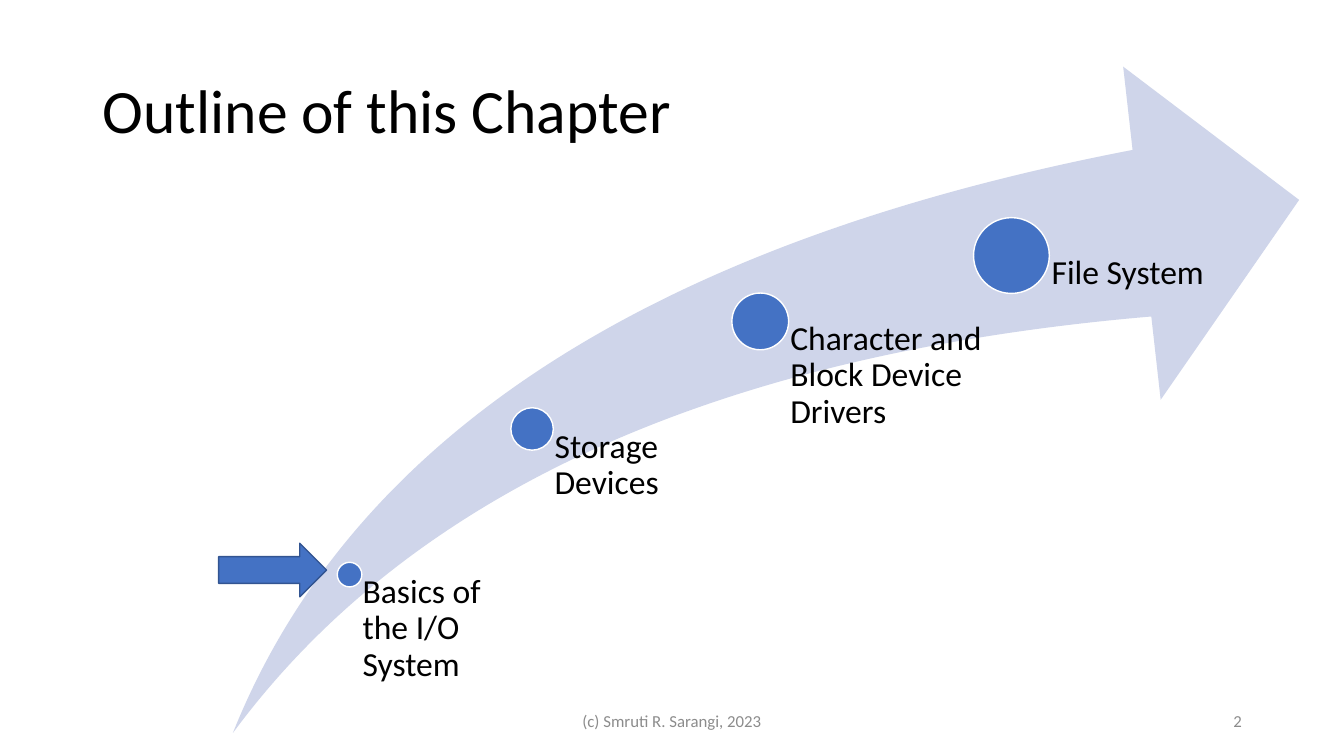
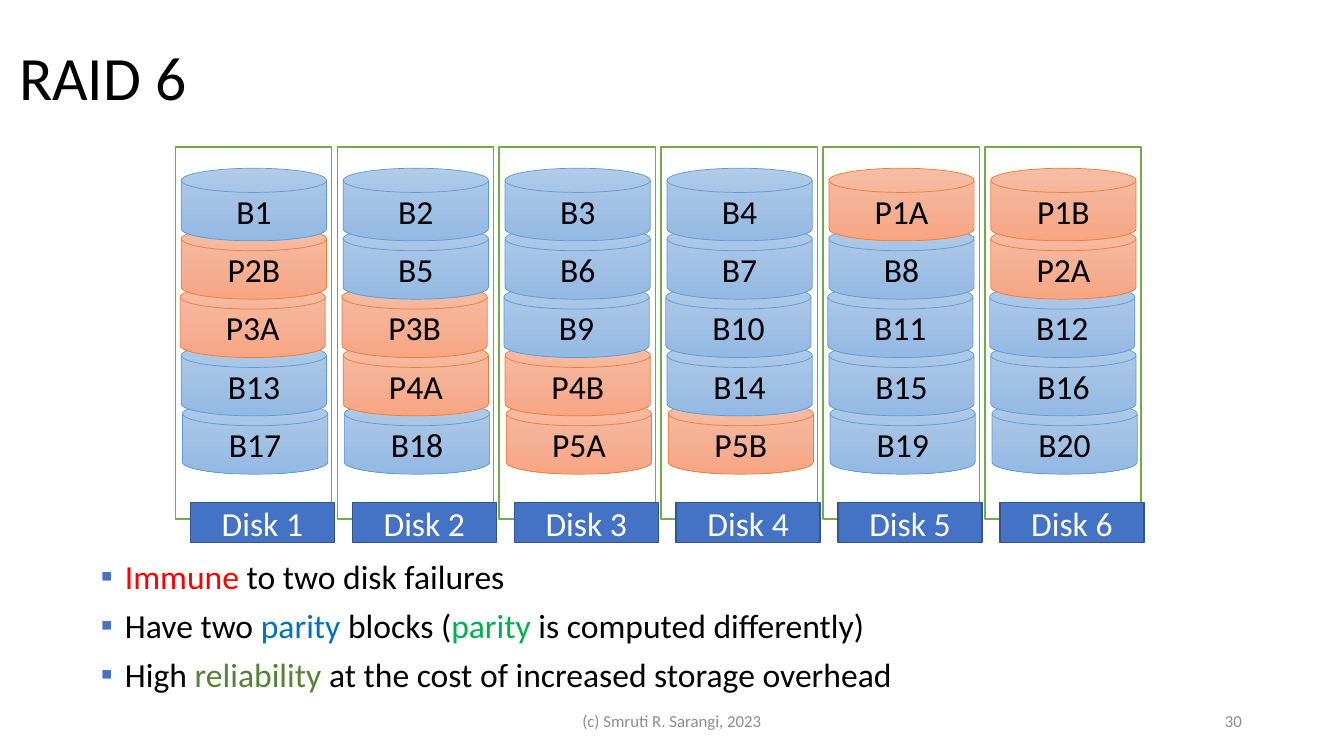
from copy import deepcopy

from lxml import etree
from pptx import Presentation
from pptx.dml.color import RGBColor
from pptx.enum import shapes, text
from pptx.oxml import ns
from pptx.util import Cm, Pt

FONT = "Calibri"
COLORS = {
    "black": "000000", "white": "FFFFFF", "gray": "8C8C8C",
    "blue": "4472C4", "navy": "325491", "pale": "CFD5EA", "frame": "70AD47",
    "red": "FF0000", "azure": "0070C0", "green": "00B050", "olive": "548235",
}
BLOCK_STYLES = {
    "B": ("5B9BD5", ("B1CBE9", "A3C1E5", "93B9E4")),
    "P": ("ED7D31", ("F7BDA5", "F5B196", "F8A582")),
}
FOOTER = "(c) Smruti R. Sarangi, 2023"

TOPICS = [
    ("Basics of the I/O System", 8.81, 14.48, 0.62, 4.55),
    ("Storage Devices", 13.41, 10.81, 1.07, 5.64),
    ("Character and Block Device Drivers", 19.16, 8.1, 1.43, 5.64),
    ("File System", 25.49, 6.44, 1.91, 5.64),
]
TOPICS_BOTTOM = 18.49

DISKS = [
    ("B1", "P2B", "P3A", "B13", "B17"),
    ("B2", "B5", "P3B", "P4A", "B18"),
    ("B3", "B6", "B9", "P4B", "P5A"),
    ("B4", "B7", "B10", "B14", "P5B"),
    ("P1A", "B8", "B11", "B15", "B19"),
    ("P1B", "P2A", "B12", "B16", "B20"),
]
DISK_LEFT, DISK_PITCH = 4.42, 4.08
BLOCK_TOP, BLOCK_PITCH = 4.24, 1.47
ROW_SHIFTS = (0, 0, -0.03, 0, 0.03)

BULLETS = [
    [("Immune ", "red"), ("to two disk failures", "black")],
    [("Have two ", "black"), ("parity", "azure"), (" blocks (", "black"),
     ("parity", "green"), (" is computed differently)", "black")],
    [("High ", "black"), ("reliability", "olive"),
     (" at the cost of increased storage overhead", "black")],
]


def rgb(name):
    return RGBColor.from_string(COLORS.get(name, name))


def style_font(font, size, color):
    font.name = FONT
    font.size = Pt(size)
    font.color.rgb = rgb(color)


def write(shape, words, size=24, color="black", align=text.PP_ALIGN.LEFT,
          anchor=text.MSO_ANCHOR.MIDDLE, spacing=None):
    frame = shape.text_frame
    frame.text = words
    frame.word_wrap = True
    frame.vertical_anchor = anchor
    paragraph = frame.paragraphs[0]
    paragraph.alignment = align
    paragraph.line_spacing = spacing
    style_font(paragraph.runs[0].font, size, color)


def add_text(slide, box, words, **options):
    shape = slide.shapes.add_textbox(*map(Cm, box))
    write(shape, words, **options)
    return shape


def add_shape(slide, kind, box, fill=None, line=None, width=1):
    shape = slide.shapes.add_shape(kind, *map(Cm, box))
    shape.shadow.inherit = False
    if fill:
        shape.fill.solid()
        shape.fill.fore_color.rgb = rgb(fill)
    if line:
        shape.line.color.rgb = rgb(line)
        shape.line.width = Pt(width)
    else:
        shape.line.fill.background()
    return shape


def fill_gradient(shape, colors):
    shape.fill.gradient()
    shape.fill.gradient_angle = 270
    stop_list = shape._element.spPr.find(".//" + ns.qn("a:gsLst"))
    stop_list.append(deepcopy(stop_list[0]))
    for index, (stop, color) in enumerate(zip(shape.fill.gradient_stops, colors)):
        stop.position = index / (len(colors) - 1)
        stop.color.rgb = rgb(color)


def add_slide(presentation, title, left, top, number):
    slide = presentation.slides.add_slide(presentation.slide_layouts[6])
    add_text(slide, (left, top, 29.21, 3.68), title, size=44, spacing=0.9)
    add_text(slide, (11.22, 17.65, 11.43, 1.02), FOOTER, size=12, color="gray",
             align=text.PP_ALIGN.CENTER)
    add_text(slide, (23.93, 17.65, 7.62, 1.02), str(number), size=12,
             color="gray", align=text.PP_ALIGN.RIGHT)
    return slide


def add_topic(slide, words, x, y, diameter, width):
    radius = diameter / 2
    add_shape(slide, shapes.MSO_SHAPE.OVAL,
              (x - radius, y - radius, diameter, diameter), "blue", "white")
    label = add_text(slide, (x, y, width, TOPICS_BOTTOM - y), words,
                     anchor=text.MSO_ANCHOR.TOP, spacing=0.9)
    frame = label.text_frame
    frame.margin_left = Cm(0.53 * diameter)
    frame.margin_top = frame.margin_right = frame.margin_bottom = 0


def add_disk(slide, index, blocks):
    left = DISK_LEFT + index * DISK_PITCH
    process = shapes.MSO_SHAPE.FLOWCHART_PROCESS
    add_shape(slide, process, (left, 3.71, 3.94, 9.37), "white", "frame")
    for row, name in reversed(list(enumerate(blocks))):
        line, gradient = BLOCK_STYLES[name[0]]
        box = (left + 0.15 + ROW_SHIFTS[row], BLOCK_TOP + row * BLOCK_PITCH, 3.66, 1.83)
        block = add_shape(slide, shapes.MSO_SHAPE.FLOWCHART_MAGNETIC_DISK, box,
                          line=line, width=0.5)
        fill_gradient(block, gradient)
        write(block, name, align=text.PP_ALIGN.CENTER)
    label = add_shape(slide, process, (left + 0.38, 12.67, 3.63, 1), "blue", "navy")
    write(label, f"Disk {index + 1}", color="white", align=text.PP_ALIGN.CENTER)


def add_bullet(paragraph):
    properties = paragraph._p.get_or_add_pPr()
    properties.set("marL", str(Cm(0.61)))
    properties.set("indent", str(-Cm(0.61)))
    color = etree.SubElement(properties, ns.qn("a:buClr"))
    etree.SubElement(color, ns.qn("a:srgbClr"), val=COLORS["blue"])
    etree.SubElement(properties, ns.qn("a:buFont"), typeface=FONT)
    etree.SubElement(properties, ns.qn("a:buChar"), char="▪")


def add_bullets(slide, box, items):
    frame = slide.shapes.add_textbox(*map(Cm, box)).text_frame
    frame.word_wrap = True
    frame.margin_left = frame.margin_top = frame.margin_right = frame.margin_bottom = 0
    for index, parts in enumerate(items):
        paragraph = frame.add_paragraph() if index else frame.paragraphs[0]
        add_bullet(paragraph)
        paragraph.space_after = Pt(6)
        for words, color in parts:
            run = paragraph.add_run()
            run.text = words
            style_font(run.font, 24, color)


def build_outline(presentation):
    slide = add_slide(presentation, "Outline of this Chapter", 2.34, 1.02, 2)
    swoosh = add_shape(slide, shapes.MSO_SHAPE.SWOOSH_ARROW,
                       (5.87, 1.68, 26.87, 16.79), "pale")
    swoosh.adjustments[0] = swoosh.adjustments[1] = 0.25
    for topic in TOPICS:
        add_topic(slide, *topic)
    add_shape(slide, shapes.MSO_SHAPE.RIGHT_ARROW, (5.51, 13.69, 2.72, 1.35),
              "blue", "navy")


def build_raid(presentation):
    slide = add_slide(presentation, "RAID 6", 0.23, 0.18, 30)
    for index, blocks in enumerate(DISKS):
        add_disk(slide, index, blocks)
    add_bullets(slide, (2.54, 14.02, 22.25, 3.84), BULLETS)


def main():
    presentation = Presentation()
    presentation.slide_width = Cm(33.87)
    presentation.slide_height = Cm(19.05)
    build_outline(presentation)
    build_raid(presentation)
    presentation.save("out.pptx")


if __name__ == "__main__":
    main()
